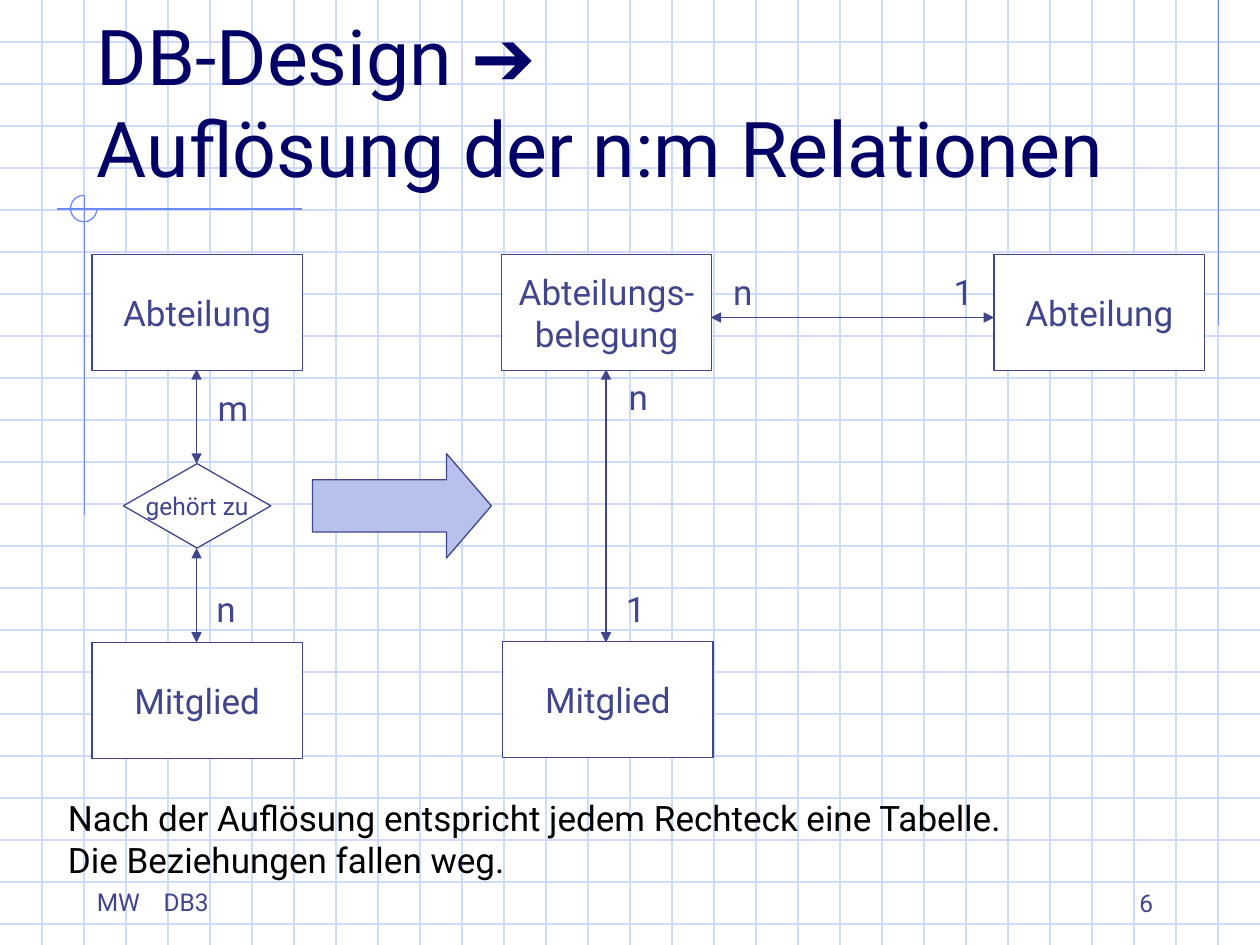
from lxml import etree
from pptx import Presentation
from pptx.dml.color import RGBColor
from pptx.enum.shapes import MSO_CONNECTOR, MSO_SHAPE
from pptx.enum.text import MSO_ANCHOR, PP_ALIGN
from pptx.oxml.ns import qn
from pptx.util import Inches, Pt

STRAIGHT = MSO_CONNECTOR.STRAIGHT
RECTANGLE, DIAMOND = MSO_SHAPE.RECTANGLE, MSO_SHAPE.DIAMOND
RIGHT_ARROW, ARC = MSO_SHAPE.RIGHT_ARROW, MSO_SHAPE.ARC
TOP, MIDDLE, BOTTOM = MSO_ANCHOR.TOP, MSO_ANCHOR.MIDDLE, MSO_ANCHOR.BOTTOM
LEFT, CENTER, RIGHT = PP_ALIGN.LEFT, PP_ALIGN.CENTER, PP_ALIGN.RIGHT

COLORS = {
    "grid": "CFDBFD",
    "accent": "6F89F7",
    "ink": "40458C",
    "title": "000066",
    "body": "000000",
    "paper": "FFFFFF",
    "arrow": "B7C1EB",
}
WIDTH, HEIGHT, GRID_STEP = 10, 7.5, 1 / 3
ENTITY_SIZE = (1.67, 0.92)

ENTITIES = [
    ("Abteilung", 0.73, 2.02),
    ("Mitglied", 0.73, 5.1),
    ("Abteilungs-\nbelegung", 3.98, 2.02),
    ("Mitglied", 3.99, 5.09),
    ("Abteilung", 7.89, 2.02),
]
RELATIONS = [
    (1.56, 2.93, 1.56, 3.68),
    (1.56, 4.35, 1.56, 5.1),
    (4.81, 2.93, 4.81, 5.1),
    (5.64, 2.52, 7.89, 2.52),
]
CARDINALITIES = [
    ("m", 1.63, 3.02),
    ("n", 1.62, 4.61),
    ("n", 4.89, 2.93),
    ("1", 4.87, 4.61),
    ("n", 5.72, 2.1),
    ("1", 7.47, 2.1),
]
FRAME_LINES = [
    (9.67, 0, 9.67, 2.58),
    (2.4, 1.66, 0.45, 1.66),
    (0.67, 1.55, 0.67, 4.09),
]


def rgb(name):
    """Return the named colour."""
    return RGBColor.from_string(COLORS[name])


def format_run(run, size, color, font="Roboto"):
    """Apply font, size and colour to a run."""
    for attribute, value in {"name": font, "size": Pt(size)}.items():
        setattr(run.font, attribute, value)
    run.font.color.rgb = rgb(color)


def write_text(frame, text, size, color, align=LEFT, anchor=TOP, wrap=True):
    """Write one paragraph per line of text into a text frame."""
    settings = {
        "word_wrap": wrap,
        "vertical_anchor": anchor,
        "margin_left": Inches(0.1),
        "margin_right": Inches(0.1),
        "margin_top": Inches(0.05),
        "margin_bottom": Inches(0.05),
    }
    for attribute, value in settings.items():
        setattr(frame, attribute, value)
    for index, line in enumerate(text.split("\n")):
        paragraph = frame.add_paragraph() if index else frame.paragraphs[0]
        paragraph.alignment = align
        run = paragraph.add_run()
        run.text = line
        format_run(run, size, color)


def add_text(slide, box, text, size, color, **layout):
    """Add a text box and return its first paragraph."""
    frame = slide.shapes.add_textbox(*map(Inches, box)).text_frame
    write_text(frame, text, size, color, **layout)
    return frame.paragraphs[0]


def add_line(slide, ends, color, arrows=False):
    """Add a thin line, with arrowheads at both ends if wanted."""
    line = slide.shapes.add_connector(STRAIGHT, *map(Inches, ends))
    line.line.width = Pt(0.75)
    line.line.color.rgb = rgb(color)
    if arrows:
        outline = line.line._get_or_add_ln()
        for end in ("a:headEnd", "a:tailEnd"):
            etree.SubElement(outline, qn(end), type="triangle")
    etree.SubElement(line._element.spPr, qn("a:effectLst"))


def add_figure(slide, kind, box, fill, line="ink", adjustments=()):
    """Add a preset shape with a thin outline."""
    figure = slide.shapes.add_shape(kind, *map(Inches, box))
    figure.shadow.inherit = False
    if fill:
        figure.fill.solid()
        figure.fill.fore_color.rgb = rgb(fill)
    else:
        figure.fill.background()
    figure.line.color.rgb = rgb(line)
    figure.line.width = Pt(0.75)
    for index, value in enumerate(adjustments):
        figure.adjustments[index] = value
    return figure


def add_node(slide, kind, box, text, size):
    """Add a diagram node with a centred label."""
    node = add_figure(slide, kind, box, "paper")
    write_text(node.text_frame, text, size, "ink", CENTER, MIDDLE, wrap=False)


def add_background(slide):
    """Draw the squared paper and the accent lines."""
    for row in range(1, int(HEIGHT / GRID_STEP) + 1):
        add_line(slide, (0, row * GRID_STEP, WIDTH, row * GRID_STEP), "grid")
    for column in range(1, round(WIDTH / GRID_STEP)):
        add_line(slide, (column * GRID_STEP, 0, column * GRID_STEP, HEIGHT), "grid")
    for ends in FRAME_LINES:
        add_line(slide, ends, "accent")
    add_figure(slide, ARC, (0.56, 1.55, 0.21, 0.21), None, "accent", (0, 162))


def add_title(slide):
    """Add the two-line title with its arrow symbol."""
    title = add_text(slide, (0.67, 0.33, 8.5, 1.25), "DB-Design ", 44, "title", anchor=BOTTOM)
    symbol = title.add_run()
    symbol.text = "➔"
    format_run(symbol, 44, "title", "Arial")
    title.add_line_break()
    subject = title.add_run()
    subject.text = "Auflösung der n:m Relationen"
    format_run(subject, 44, "title")


def add_footer(slide):
    """Add the course label, set with a tab stop, and the slide number."""
    course = add_text(slide, (0.67, 6.99, 2.25, 0.34), "MW\tDB3", 14, "ink")
    stops = etree.SubElement(course._p.get_or_add_pPr(), qn("a:tabLst"))
    etree.SubElement(stops, qn("a:tab"), pos=str(Inches(0.53)), algn="l")
    add_text(slide, (7.17, 6.83, 2.08, 0.5), "6", 14, "ink", align=RIGHT, anchor=BOTTOM)


def main():
    """Build the slide on resolving n:m relations."""
    presentation = Presentation()
    presentation.slide_width = Inches(WIDTH)
    presentation.slide_height = Inches(HEIGHT)
    slide = presentation.slides.add_slide(presentation.slide_layouts[6])
    add_background(slide)
    add_title(slide)
    for ends in RELATIONS:
        add_line(slide, ends, "ink", arrows=True)
    for name, left, top in ENTITIES:
        add_node(slide, RECTANGLE, (left, top, *ENTITY_SIZE), name, 20)
    add_node(slide, DIAMOND, (0.98, 3.68, 1.17, 0.67), "gehört zu", 14)
    add_figure(slide, RIGHT_ARROW, (2.48, 3.6, 1.42, 0.83), "arrow", adjustments=(0.5, 0.43))
    for cardinality, left, top in CARDINALITIES:
        width = 0.46 if cardinality == "m" else 0.37
        add_text(slide, (left, top, width, 0.44), cardinality, 20, "ink")
    conclusion = (
        "Nach der Auflösung entspricht jedem Rechteck eine Tabelle.\n"
        "Die Beziehungen fallen weg."
    )
    add_text(slide, (0.44, 6.27, 8.12, 0.77), conclusion, 20, "body")
    add_footer(slide)
    presentation.save("out.pptx")


if __name__ == "__main__":
    main()
